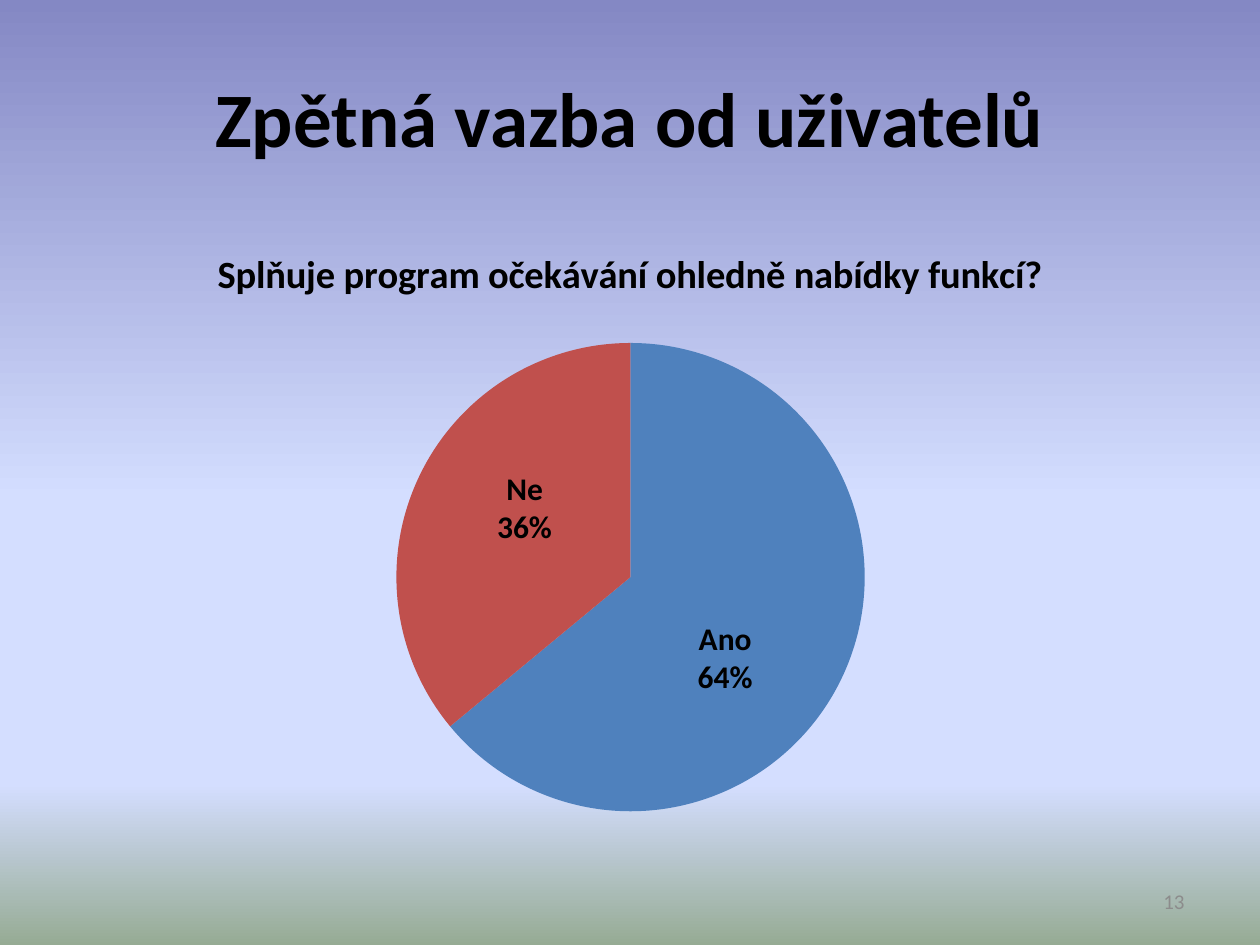
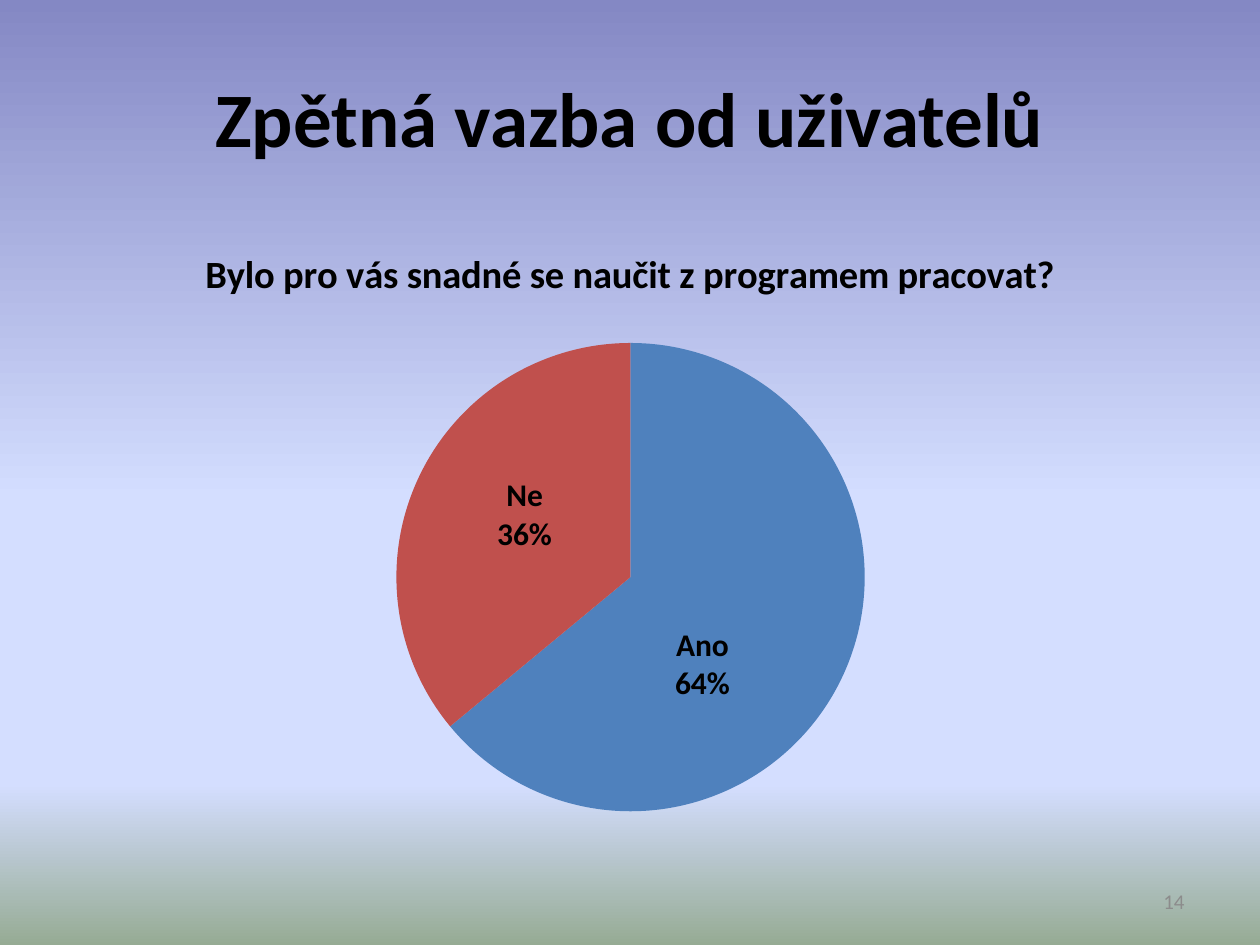
from dataclasses import dataclass

from lxml.etree import SubElement
from pptx import Presentation
from pptx.chart.chart import Chart
from pptx.chart.data import CategoryChartData
from pptx.dml.color import RGBColor
from pptx.enum.chart import XL_CHART_TYPE, XL_LABEL_POSITION
from pptx.enum.text import MSO_ANCHOR, PP_ALIGN
from pptx.oxml import parse_xml
from pptx.oxml.ns import nsdecls, qn
from pptx.slide import Slide
from pptx.text.text import Font
from pptx.util import Pt

FONT = "Calibri"
BLACK = RGBColor(0x00, 0x00, 0x00)
GREY = RGBColor(0x8C, 0x8C, 0x8C)
BLUE = RGBColor(0x4F, 0x81, 0xBD)
RED = RGBColor(0xC0, 0x50, 0x4D)
DUSK = RGBColor(0x84, 0x88, 0xC4)
SKY = RGBColor(0xD4, 0xDE, 0xFF)
GRASS = RGBColor(0x96, 0xAB, 0x94)
BACKGROUND_STOPS = ((0, DUSK), (53, SKY), (83, SKY), (100, GRASS))

TITLE = "Zpětná vazba od uživatelů"
ANSWERS = ("Ano", "Ne")
SLICE_COLORS = (BLUE, RED)


@dataclass(frozen=True)
class TextStyle:
    """Place in points, and look, of a text box."""
    left: float
    top: float
    width: float
    height: float
    size: float
    color: RGBColor
    align: PP_ALIGN
    bold: bool = False


@dataclass(frozen=True)
class Question:
    """One survey question; label shifts are fractions of the chart size."""
    number: int
    text: str
    shares: tuple[int, int]
    label_shifts: tuple[tuple[float, float], tuple[float, float]]


TITLE_STYLE = TextStyle(36, 21.6, 648, 90, 44, BLACK, PP_ALIGN.CENTER, True)
NUMBER_STYLE = TextStyle(516, 500.4, 168, 28.8, 12, GREY, PP_ALIGN.RIGHT)

QUESTIONS = (
    Question(13, "Splňuje program očekávání ohledně nabídky funkcí?",
             (64, 36), ((-0.01, 0.05), (0, -0.03))),
    Question(14, "Bylo pro vás snadné se naučit z programem pracovat?",
             (64, 36), ((-0.03, 0.06), (0, -0.02))),
)


def style_font(font: Font, size: float, color: RGBColor, bold: bool) -> None:
    font.name = FONT
    font.size = Pt(size)
    font.bold = bold
    font.color.rgb = color


def paint_background(page: Slide) -> None:
    stops = "".join(
        f'<a:gs pos="{percent * 1000}"><a:srgbClr val="{color}"/></a:gs>'
        for percent, color in BACKGROUND_STOPS)
    background = parse_xml(
        f'<p:bg {nsdecls("p", "a")}><p:bgPr><a:gradFill rotWithShape="1">'
        f'<a:gsLst>{stops}</a:gsLst><a:lin ang="5400000" scaled="0"/>'
        '</a:gradFill><a:effectLst/></p:bgPr></p:bg>')
    page.element.find(qn("p:cSld")).insert(0, background)


def add_text(page: Slide, text: str, style: TextStyle) -> None:
    box = page.shapes.add_textbox(Pt(style.left), Pt(style.top),
                                  Pt(style.width), Pt(style.height))
    frame = box.text_frame
    frame.word_wrap = True
    frame.vertical_anchor = MSO_ANCHOR.MIDDLE
    frame.text = text
    paragraph = frame.paragraphs[0]
    paragraph.alignment = style.align
    style_font(paragraph.runs[0].font, style.size, style.color, style.bold)


def manual_layout(**settings: str | float):
    """Chart layout element with the given manual settings, in schema order."""
    items = "".join(f'<c:{key} val="{value}"/>'
                    for key, value in settings.items())
    return parse_xml(f'<c:layout {nsdecls("c")}><c:manualLayout>{items}'
                     '</c:manualLayout></c:layout>')


def place_pie(chart: Chart) -> None:
    plot_area = chart.element.find(".//" + qn("c:plotArea"))
    for layout in plot_area.findall(qn("c:layout")):
        plot_area.remove(layout)
    plot_area.insert(0, manual_layout(
        layoutTarget="inner", xMode="edge", yMode="edge",
        x=0.294, y=0.196, w=0.413, h=0.752))


def label_slices(chart: Chart, shifts: tuple[tuple[float, float], ...]) -> None:
    series = chart.plots[0].series[0]
    labels = series.data_labels
    labels.show_value = False
    labels.show_category_name = True
    labels.show_percentage = True
    labels.number_format = "0%"
    labels.number_format_is_linked = False
    style_font(labels.font, 18, BLACK, True)

    for index, color in enumerate(SLICE_COLORS):
        point = series.points[index]
        point.format.fill.solid()
        point.format.fill.fore_color.rgb = color
        style_font(point.data_label.font, 18, BLACK, True)
        point.data_label.position = XL_LABEL_POSITION.CENTER

    # Category over percentage, moved off the middle of the slice
    for label, (x, y) in zip(chart.element.iter(qn("c:dLbl")), shifts):
        label.insert(1, manual_layout(x=x, y=y))
        label.find(qn("c:showVal")).set("val", "0")
        for flag in ("c:showCatName", "c:showPercent"):
            label.find(qn(flag)).set("val", "1")
        SubElement(label, qn("c:separator")).text = "\n"


def add_pie(page: Slide, question: Question) -> None:
    data = CategoryChartData()
    data.categories = ANSWERS
    data.add_series("Series 1", question.shares)
    chart = page.shapes.add_chart(XL_CHART_TYPE.PIE, Pt(36), Pt(126),
                                  Pt(648), Pt(356.4), data).chart
    style_font(chart.font, 10, BLACK, False)
    chart.has_legend = False
    chart.has_title = True
    title = chart.chart_title
    title.include_in_layout = False
    title.text_frame.text = question.text
    span = title.text_frame.paragraphs[0].runs[0]
    style_font(span.font, 22, BLACK, True)
    chart.plots[0].vary_by_categories = True
    place_pie(chart)
    label_slices(chart, question.label_shifts)


def main() -> None:
    deck = Presentation()
    deck.slide_width, deck.slide_height = Pt(720), Pt(540)
    for question in QUESTIONS:
        page = deck.slides.add_slide(deck.slide_layouts[6])
        paint_background(page)
        add_text(page, TITLE, TITLE_STYLE)
        add_pie(page, question)
        add_text(page, str(question.number), NUMBER_STYLE)
    deck.save("out.pptx")


if __name__ == "__main__":
    main()
